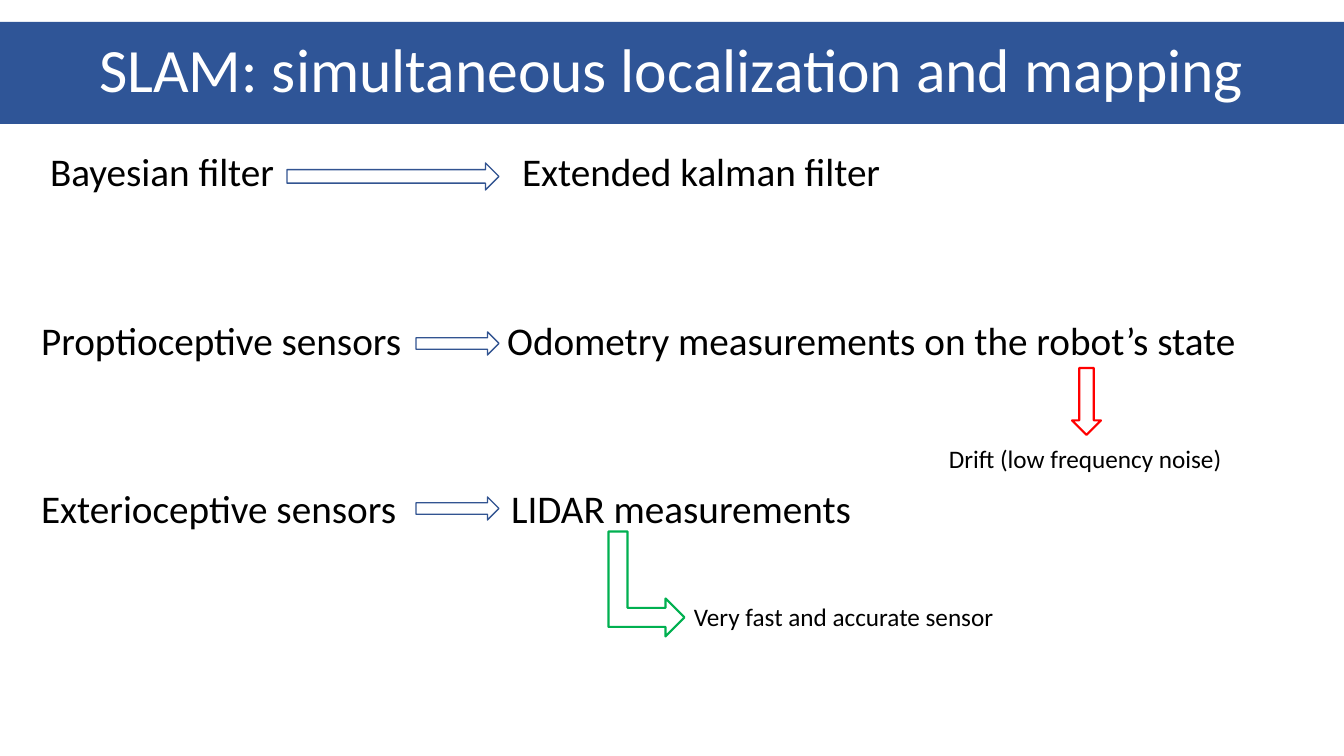
from dataclasses import dataclass
from lxml.etree import SubElement
from pptx import Presentation
from pptx.dml.color import RGBColor
from pptx.enum.shapes import MSO_SHAPE
from pptx.enum.text import MSO_ANCHOR, MSO_AUTO_SIZE, PP_ALIGN
from pptx.oxml.ns import qn
from pptx.util import Emu, Pt


@dataclass(frozen=True)
class Theme:
    face: str = "Calibri"
    title: int = 44
    body: int = 28
    note: int = 18
    band: str = "2F5597"
    edge: str = "325491"
    good: str = "00B050"
    bad: str = "FF0000"
    ink: str = "000000"
    paper: str = "FFFFFF"


THEME = Theme()
SCALE = 914400 / 100.8


def px(count):
    return Emu(round(count * SCALE))


def color(code):
    return RGBColor.from_string(code)


def place(shape, box):
    shape.left, shape.top, shape.width, shape.height = map(px, box)


def style(para, size, ink):
    para.font.name = THEME.face
    para.font.size = Pt(size)
    para.font.bold = False
    para.font.color.rgb = color(ink)


def arrow(slide, kind, box, edge, width, fill=None, turn=0):
    shape = slide.shapes.add_shape(kind, *map(px, box))
    shape.shadow.inherit = False
    shape.rotation = turn
    shape.line.color.rgb = color(edge)
    shape.line.width = Pt(width)
    if fill:
        shape.fill.solid()
        shape.fill.fore_color.rgb = color(fill)
    else:
        shape.fill.background()


def note(slide, box, text):
    frame = slide.shapes.add_textbox(*map(px, box)).text_frame
    frame.word_wrap = True
    frame.auto_size = MSO_AUTO_SIZE.SHAPE_TO_FIT_TEXT
    para = frame.paragraphs[0]
    para.text = text
    style(para, THEME.note, THEME.ink)


def header(slide, box, text):
    title = slide.shapes.title
    place(title, box)
    title.fill.solid()
    title.fill.fore_color.rgb = color(THEME.band)
    frame = title.text_frame
    frame.auto_size = MSO_AUTO_SIZE.NONE
    frame.vertical_anchor = MSO_ANCHOR.MIDDLE
    para = frame.paragraphs[0]
    para.text = text
    para.alignment = PP_ALIGN.CENTER
    para.line_spacing = 0.9
    style(para, THEME.title, THEME.paper)


def column(body, box, rows):
    place(body, box)
    frame = body.text_frame
    frame.auto_size = MSO_AUTO_SIZE.NONE
    for order, (text, indent) in enumerate(rows):
        para = frame.add_paragraph() if order else frame.paragraphs[0]
        para.text = text
        para.line_spacing = 0.9
        para.space_before = Pt(90 if order else 10)
        props = para._p.get_or_add_pPr()
        props.set("marL", str(px(indent)))
        props.set("indent", "0")
        SubElement(props, qn("a:buNone"))
        style(para, THEME.body, THEME.ink)


def content(slide, box, left, right):
    x, y, wide, high = box
    split = 466
    column(slide.placeholders[1], (x, y + 1, split, high), left)
    column(slide.placeholders[2], (x + split, y + 1, wide - split, high), right)

    tip = x + 468
    for top, span, tall in ((16, 212, 27), (185, 83, 23), (350, 83, 23)):
        arrow(slide, MSO_SHAPE.RIGHT_ARROW, (tip - span, y + top, span, tall),
              THEME.edge, 1, THEME.paper)

    note(slide, (x + 653, y + 449, 376, 40), "Very fast and accurate sensor")
    arrow(slide, MSO_SHAPE.BENT_UP_ARROW, (x + 563, y + 399, 105, 76),
          THEME.good, 1.5, turn=90)
    arrow(slide, MSO_SHAPE.DOWN_ARROW, (x + 1041, y + 221, 29, 67), THEME.bad, 1.5)
    note(slide, (x + 908, y + 291, 295, 40), "Drift (low frequency noise)")


deck = Presentation()
deck.slide_width, deck.slide_height = px(1344), px(756)
page = deck.slides.add_slide(deck.slide_layouts[3])
header(page, (0, 22, 1344, 102), "SLAM: simultaneous localization and mapping")
content(
    page, (31, 147, 1282, 480),
    (("Bayesian filter", 9), ("Proptioceptive sensors", 0),
     ("Exterioceptive sensors", 0)),
    (("Extended kalman filter", 15),
     ("Odometry measurements on the robot’s state", 0),
     ("LIDAR measurements", 4)),
)
deck.save("out.pptx")
